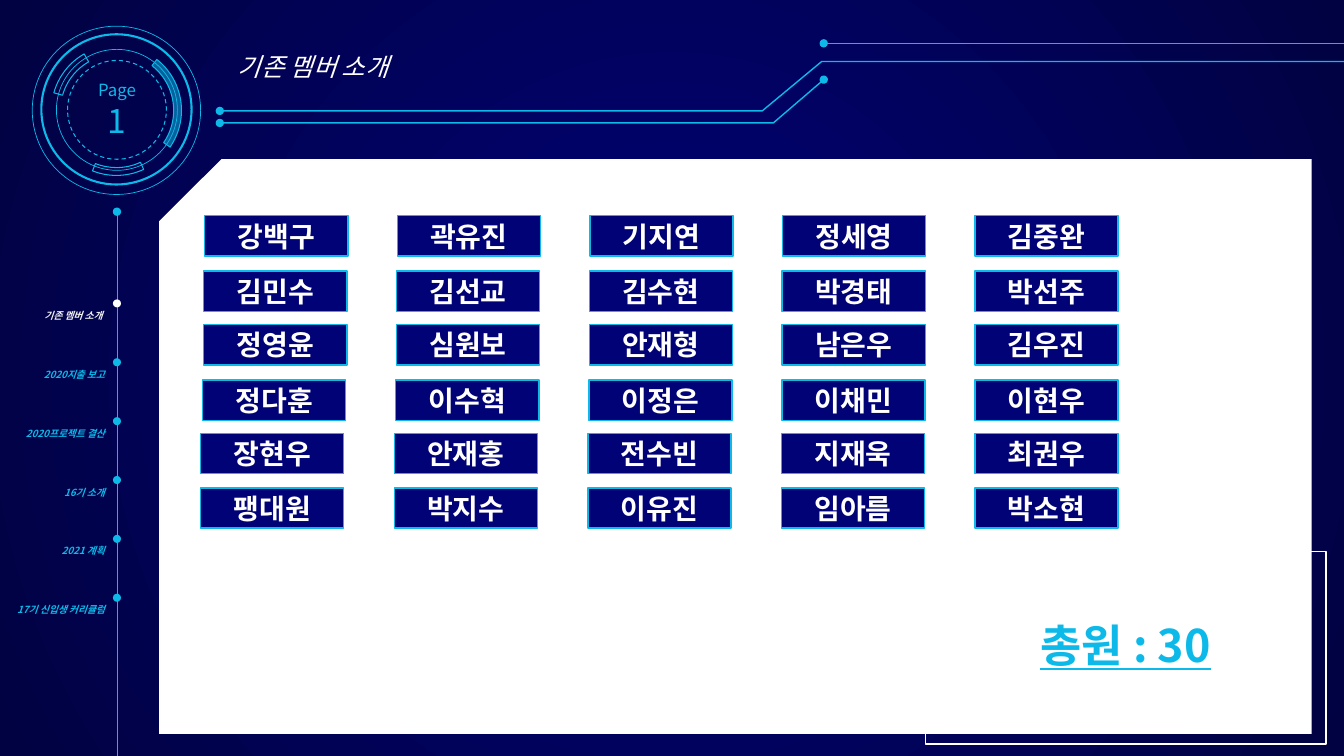
from pptx import Presentation
from pptx.dml.color import RGBColor
from pptx.enum import dml, shapes as kinds, text as t
from pptx.oxml import ns, xmlchemy as x
from pptx.util import Inches, Pt

FONT = "Noto Sans CJK KR"
COLORS = {"cyan": "0CB9E8", "navy": "010276", "dark": "010242",
          "white": "FFFFFF", "pale": "F2F2F2"}

# left of the first card, top, names
MEMBER_ROWS = [
    (2.03, 2.14, ["강백구", "곽유진", "기지연", "정세영", "김중완"]),
    (2.02, 2.69, ["김민수", "김선교", "김수현", "박경태", "박선주"]),
    (2.02, 3.22, ["정영윤", "심원보", "안재형", "남은우", "김우진"]),
    (2.01, 3.77, ["정다훈", "이수혁", "이정은", "이채민", "이현우"]),
    (1.99, 4.3, ["장현우", "안재홍", "전수빈", "지재욱", "최권우"]),
    (1.99, 4.84, ["팽대원", "박지수", "이유진", "임아름", "박소현"]),
]
LAST_COLUMN_LEFT = 9.67

MENU = ["기존 멤버 소개 ", "2020지출 보고", "2020프로젝트 결산",
        "16기 소개", "2021 계획", "17기 신입생 커리큘럼"]
MENU_TOP, MENU_BOTTOM = 2.97, 5.89


def rgb(name):
    return RGBColor.from_string(COLORS[name])


def add_child(parent, tag, **attributes):
    child = x.OxmlElement(tag)
    for key, value in attributes.items():
        child.set(key, value)
    parent.append(child)
    return child


def style_font(font, size, color="cyan", **flags):
    """Set the font, with its East Asian face, on a paragraph or a run."""
    font.name, font.size = FONT, Pt(size)
    font.color.rgb = rgb(color)
    for flag, value in flags.items():
        setattr(font, flag, value)
    latin = font._element.find(ns.qn("a:latin")) if hasattr(font, "_element") else font._rPr.find(ns.qn("a:latin"))
    east_asian = x.OxmlElement("a:ea")
    east_asian.set("typeface", FONT)
    latin.addnext(east_asian)


def style_shape(shape, fill=None, line=None, width=1):
    shape.shadow.inherit = False
    if fill:
        shape.fill.solid()
        shape.fill.fore_color.rgb = rgb(fill)
    else:
        shape.fill.background()
    if line:
        shape.line.color.rgb = rgb(line)
        shape.line.width = Pt(width)
    else:
        shape.line.fill.background()


def add_preset(shapes, kind, box, **style):
    shape = shapes.add_shape(kind, *map(Inches, box))
    style_shape(shape, **style)
    return shape


def add_circle(shapes, left, top, size, **style):
    return add_preset(shapes, kinds.MSO_SHAPE.OVAL, (left, top, size, size), **style)


def add_outline(shapes, points, color, close=False):
    corners = [(Inches(px), Inches(py)) for px, py in points]
    builder = shapes.build_freeform(*corners[0])
    builder.add_line_segments(corners[1:], close=close)
    shape = builder.convert_to_shape()
    style_shape(shape, line=color)
    return shape


def add_dots_at_ends(shape, *ends):
    line = shape.line._get_or_add_ln()
    for end in ends:
        add_child(line, f"a:{end}", type="oval")


def add_rail(shapes, start, finish):
    rail = shapes.add_connector(kinds.MSO_CONNECTOR.STRAIGHT, *map(Inches, start + finish))
    rail.line.color.rgb = rgb("cyan")
    rail.line.width = Pt(0.5)
    add_dots_at_ends(rail, "headEnd")
    add_child(rail._element.spPr, "a:effectLst")


def set_background(slide):
    fill = slide.background.fill
    fill.gradient()
    for stop, color, position in zip(fill.gradient_stops, ("navy", "dark"), (0, 1)):
        stop.color.rgb = rgb(color)
        stop.position = position
    gradient = slide._element.find(".//" + ns.qn("a:gradFill"))
    gradient.remove(gradient.find(ns.qn("a:lin")))
    radial = add_child(gradient, "a:path", path="circle")
    add_child(radial, "a:fillToRect", l="50000", t="50000", r="50000", b="50000")


def place(placeholder, box):
    placeholder.left, placeholder.top, placeholder.width, placeholder.height = map(Inches, box)
    frame = placeholder.text_frame
    frame.word_wrap = True
    frame.vertical_anchor = t.MSO_ANCHOR.TOP
    frame.auto_size = t.MSO_AUTO_SIZE.SHAPE_TO_FIT_TEXT
    return frame


def fill_title(title):
    frame = place(title, (2.26, 0.31, 5.45, 0.5))
    paragraph = frame.paragraphs[0]
    paragraph.text = "기존 멤버 소개"
    paragraph.alignment = t.PP_ALIGN.LEFT
    paragraph.line_spacing = 1.5
    style_font(paragraph.font, 18, "white", italic=True)


def fill_menu(body):
    frame = place(body, (-0.07, 2.56, 1.21, 3.64))
    frame.text = "\n".join(MENU)
    for index, paragraph in enumerate(frame.paragraphs):
        paragraph.alignment = t.PP_ALIGN.RIGHT
        paragraph.line_spacing = 5.0
        paragraph.space_before = Pt(0)
        properties = paragraph._p.get_or_add_pPr()
        properties.set("marL", "0")
        properties.set("indent", "0")
        add_child(properties, "a:buNone")
        style_font(paragraph.font, 7, "cyan" if index else "pale", bold=True, italic=True)


def add_menu_dots(shapes):
    step = (MENU_BOTTOM - MENU_TOP) / (len(MENU) - 1)
    for index in range(len(MENU)):
        add_circle(shapes, 1.12, MENU_TOP + index * step, 0.08,
                   fill="cyan" if index else "white")


def add_dial(slide):
    """Draw the page number inside its rings."""
    shapes = slide.shapes.add_group_shape().shapes
    for left, top, size, width in [(0.41, 0.34, 1.49, 1.5), (0.56, 0.49, 1.2, 0.5),
                                   (0.32, 0.26, 1.67, 0.5)]:
        add_circle(shapes, left, top, size, line="cyan", width=width)
    for fill, angles in [("cyan", (185.07, 20.62, 0.06)), (None, (117.42, 144.14, 0.07)),
                         (None, (39.14, 66.95, 0.06))]:
        arc = add_preset(shapes, kinds.MSO_SHAPE.BLOCK_ARC, (0.51, 0.45, 1.29, 1.29),
                         fill=fill, line="cyan", width=0.75)
        for index, value in enumerate(angles):
            arc.adjustments[index] = value
        if fill:
            color = arc._element.spPr.find(ns.qn("a:solidFill"))[0]
            add_child(color, "a:alpha", val="52000")
    center = add_circle(shapes, 0.67, 0.6, 0.98, line="cyan", width=0.75)
    center.line.dash_style = dml.MSO_LINE.DASH
    center.text_frame.vertical_anchor = t.MSO_ANCHOR.MIDDLE
    paragraph = center.text_frame.paragraphs[0]
    paragraph.alignment = t.PP_ALIGN.CENTER
    for label, size in [("Page", 12), ("1", 24)]:
        if paragraph.runs:
            paragraph.add_line_break()
        run = paragraph.add_run()
        run.text = label
        style_font(run.font, size)


def write_centered(shape, words, size, color, **flags):
    shape.text_frame.vertical_anchor = t.MSO_ANCHOR.MIDDLE
    paragraph = shape.text_frame.paragraphs[0]
    paragraph.text = words
    paragraph.alignment = t.PP_ALIGN.CENTER
    style_font(paragraph.font, size, color, bold=True, **flags)
    return paragraph


def add_members(slide):
    shapes = slide.shapes.add_group_shape().shapes
    for first_left, top, names in MEMBER_ROWS:
        step = (LAST_COLUMN_LEFT - first_left) / (len(names) - 1)
        for column, name in enumerate(names):
            card = add_preset(shapes, kinds.MSO_SHAPE.RECTANGLE,
                              (first_left + column * step, top, 1.42, 0.4),
                              fill="navy", line="cyan")
            write_centered(card, name, 20, "white")


def add_total(shapes):
    frame = add_outline(shapes, [(9.18, 5.47), (13.15, 5.47), (13.15, 7.38), (9.18, 7.38)],
                        "white", close=True)
    write_centered(frame, "총원 : 30", 32, "cyan", underline=True).line_spacing = 0.9


def main():
    presentation = Presentation()
    presentation.slide_width, presentation.slide_height = Inches(13.33), Inches(7.5)
    slide = presentation.slides.add_slide(presentation.slide_layouts[1])
    shapes = slide.shapes
    set_background(slide)
    fill_title(shapes.title)
    fill_menu(slide.placeholders[1])
    add_dial(slide)
    lower = add_outline(shapes, [(2.18, 1.22), (7.67, 1.22), (8.17, 0.79)], "cyan")
    add_dots_at_ends(lower, "headEnd", "tailEnd")
    upper = add_outline(shapes, [(2.18, 1.1), (7.56, 1.1), (8.15, 0.61), (13.33, 0.61)], "cyan")
    add_dots_at_ends(upper, "headEnd")
    add_rail(shapes, (8.17, 0.43), (13.33, 0.43))
    panel = add_preset(shapes, kinds.MSO_SHAPE.SNIP_1_RECTANGLE, (1.58, 1.58, 11.43, 5.7),
                       fill="white")
    panel.adjustments[0] = 0.108
    panel._element.spPr.xfrm.set("flipH", "1")
    add_rail(shapes, (1.16, 2.1), (1.16, 7.5))
    add_menu_dots(shapes)
    add_total(shapes)
    add_members(slide)
    presentation.save("out.pptx")


if __name__ == "__main__":
    main()
